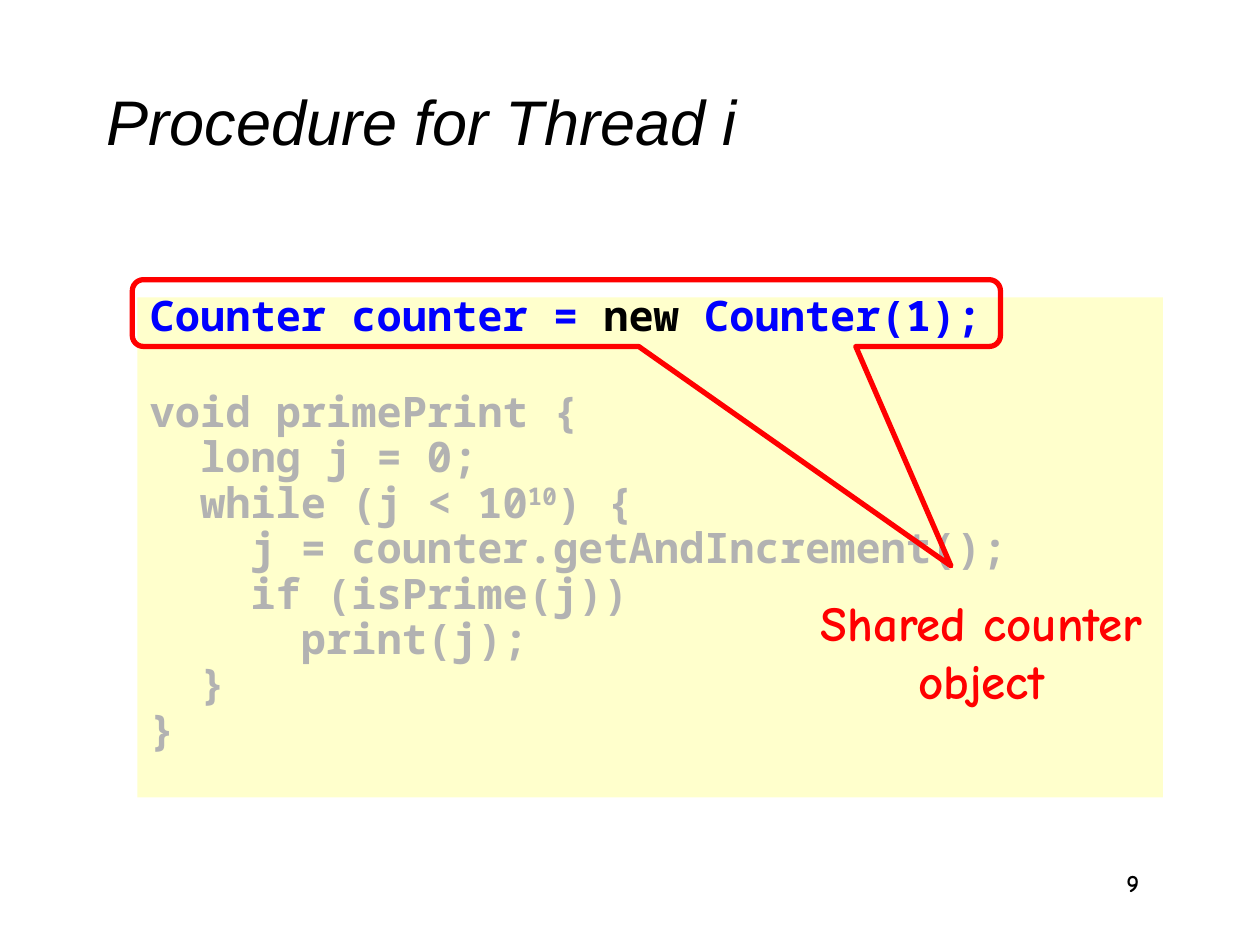
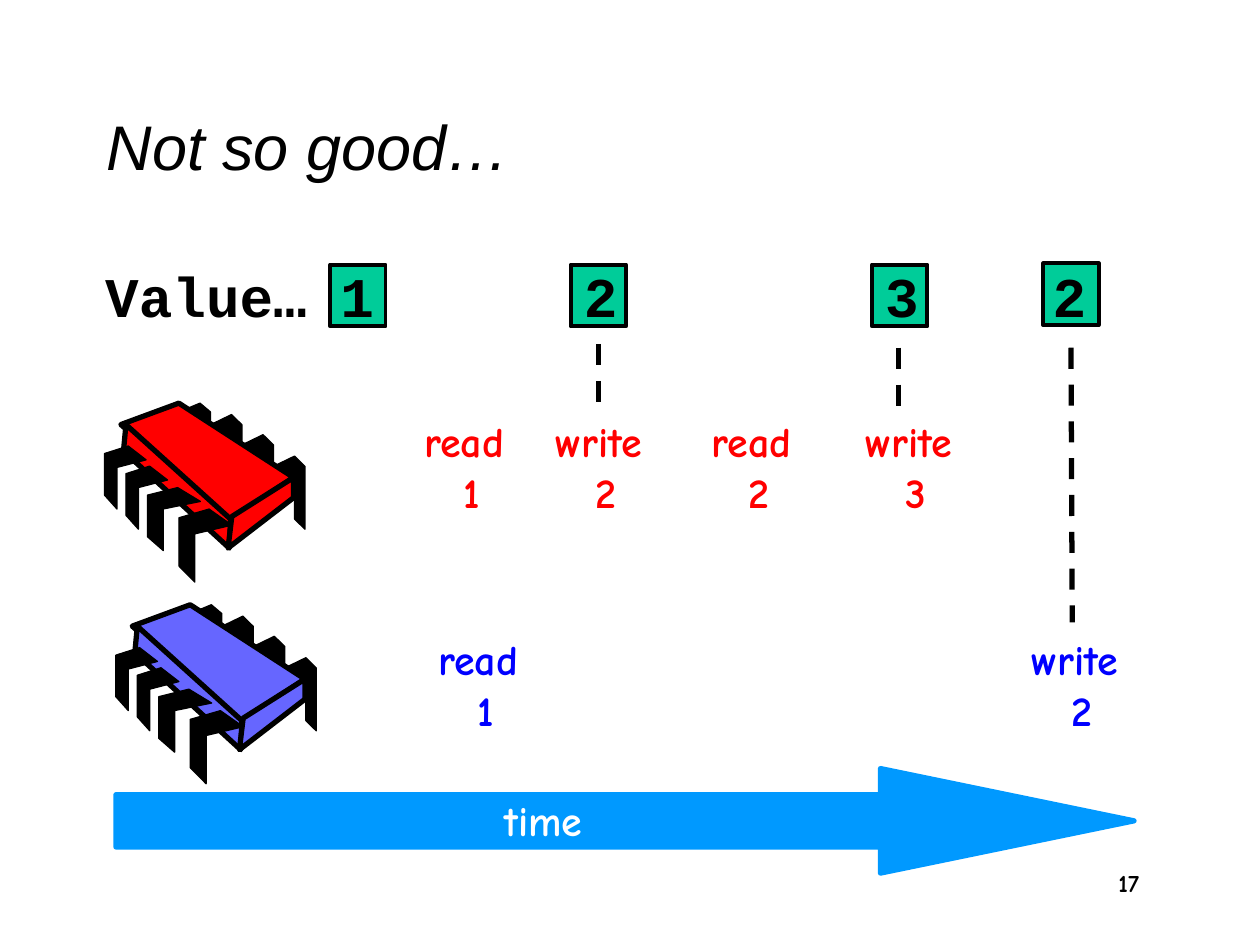
from lxml.etree import SubElement
from pptx import Presentation
from pptx.dml.color import RGBColor
from pptx.enum.dml import MSO_LINE
from pptx.enum.shapes import MSO_CONNECTOR, MSO_SHAPE
from pptx.enum.text import MSO_ANCHOR, MSO_AUTO_SIZE, PP_ALIGN
from pptx.oxml.ns import qn
from pptx.util import Inches, Pt

WIDTH, HEIGHT = Inches(10), Inches(7.5)
COLS, ROWS = 100, 75

HUE = {
    "ink": "000000", "red": "FF0000", "blue": "0000FF", "dim": "B2B2B2",
    "cream": "FFFFCC", "green": "00CC99", "sky": "0099FF",
    "iris": "6666FF", "white": "FFFFFF",
}
FONT = {
    "title": {"name": "Arial", "size": Pt(36), "italic": True},
    "page": {"name": "Comic Neue", "size": Pt(14), "bold": True},
    "note": {"name": "Comic Neue", "size": Pt(28), "bold": True},
    "step": {"name": "Comic Neue", "size": Pt(24), "bold": True},
    "value": {"name": "Courier New", "size": Pt(32), "bold": True},
    "code": {"name": "Noto Sans Mono", "size": Pt(24), "bold": True},
}
LEFT, MID, RIGHT = PP_ALIGN.LEFT, PP_ALIGN.CENTER, PP_ALIGN.RIGHT

CODE = [
    (0, [("Counter counter = ", "blue"), ("new", "ink"), (" Counter(1);", "blue")]),
    (0, [("void primePrint {", "dim")]),
    (1, [("long j = 0;", "dim")]),
    (1, [("while (j < 10", "dim"), ("10", "dim"), (") {", "dim")]),
    (2, [("j = counter.getAndIncrement();", "dim")]),
    (2, [("if (isPrime(j))", "dim")]),
    (3, [("print(j);", "dim")]),
    (1, [("}", "dim")]),
    (0, [("}", "dim")]),
]
POWER = (3, 1)
GAP, BREAK = 5.8, 34.5

BACK_PIN = [(0, .14), (.67, 0), (1, .14), (1, 1), (.67, .86), (.67, .29), (0, .43)]
FRONT_PIN = [(.57, 0), (1, .22), (.3, .34), (.3, 1), (0, .78), (0, .12)]
BACK_ROW = [(13.4, 4.2, 2.5, 5.8), (10.9, 2.5, 2.5, 5.8),
            (8.4, .9, 2.5, 5.8), (5.9, 0, 2.5, 5)]
FRONT_ROW = [(5.9, 8.4, 4.2, 5.8), (3.4, 6.7, 4.2, 5),
             (1.7, 5, 3.3, 5), (0, 3.4, 3.3, 5)]
BODY = [
    [(5.9, 0), (15, 5.9), (9.9, 9.3), (1.3, 1.7)],
    [(1.7, 1.7), (10, 9.2), (9.9, 11.5), (1.5, 3.8)],
    [(15, 5.9), (15, 7.5), (9.8, 11.5), (10.1, 9)],
]


def tint(name):
    return RGBColor.from_string(HUE[name])


def col(count):
    return round(WIDTH * count / COLS)


def row(count):
    return round(HEIGHT * count / ROWS)


def place(box):
    left, top, wide, high = box
    return col(left), row(top), col(wide), row(high)


def paint(shape, fill=None, edge=None, weight=1):
    shape.shadow.inherit = False
    if fill:
        shape.fill.solid()
        shape.fill.fore_color.rgb = tint(fill)
    else:
        shape.fill.background()
    if edge:
        shape.line.color.rgb = tint(edge)
        shape.line.width = Pt(weight)
    else:
        shape.line.fill.background()


def block(host, kind, box, fill=None, edge=None, weight=1, bends=()):
    shape = host.shapes.add_shape(kind, *place(box))
    paint(shape, fill, edge, weight)
    for index, bend in enumerate(bends):
        shape.adjustments[index] = bend
    return shape


def write(para, text, style, hue):
    run = para.add_run()
    run.text = text
    for key, value in FONT[style].items():
        setattr(run.font, key, value)
    run.font.color.rgb = tint(hue)
    return run


def label(host, box, lines, style, hue="ink", align=MID, wrap=False, grow=True):
    frame = host.shapes.add_textbox(*place(box)).text_frame
    frame.word_wrap = wrap
    frame.auto_size = MSO_AUTO_SIZE.SHAPE_TO_FIT_TEXT if grow else MSO_AUTO_SIZE.NONE
    for index, line in enumerate(lines):
        para = frame.add_paragraph() if index else frame.paragraphs[0]
        para.alignment = align
        write(para, line, style, hue)
    return frame


def start(deck, title, top, page):
    slide = deck.slides.add_slide(deck.slide_layouts[6])
    label(slide, (70.6, 68.4, 20.8, 5), [page], "page", align=RIGHT, wrap=True, grow=False)
    frame = label(slide, (7.5, top, 85, 12.5), [title], "title",
                  align=LEFT, wrap=True, grow=False)
    frame.vertical_anchor = MSO_ANCHOR.MIDDLE
    return slide


def panel(slide, box):
    frame = block(slide, MSO_SHAPE.RECTANGLE, box, "cream").text_frame
    frame.word_wrap = True
    frame.vertical_anchor = MSO_ANCHOR.TOP
    for index, (depth, parts) in enumerate(CODE):
        para = frame.add_paragraph() if index else frame.paragraphs[0]
        para.alignment = LEFT
        para.line_spacing = 0.7
        para.space_before = Pt(BREAK if index == 1 else GAP)
        para._p.get_or_add_pPr().set("marL", str(col(4 * depth)))
        for part, (text, hue) in enumerate(parts):
            run = write(para, text, "code", hue)
            if (index, part) == POWER:
                run._r.get_or_add_rPr().set("baseline", "30000")


def plate(host, points, fill, weight):
    spots = [(col(x), row(y)) for x, y in points]
    pen = host.shapes.build_freeform(*spots[0])
    pen.add_line_segments(spots[1:], close=True)
    paint(pen.convert_to_shape(), fill, "ink", weight)


def pins(host, left, top, spots, form):
    for x, y, wide, high in spots:
        points = [(left + x + wide * u, top + y + high * v) for u, v in form]
        plate(host, points, "ink", 0.75)


def chip(slide, left, top, fill):
    group = slide.shapes.add_group_shape()
    pins(group, left, top, BACK_ROW, BACK_PIN)
    for face in BODY:
        plate(group, [(left + x, top + y) for x, y in face], fill, 3)
    pins(group, left, top, FRONT_ROW, FRONT_PIN)


def dash(slide, x, top, end, low):
    line = slide.shapes.add_connector(
        MSO_CONNECTOR.STRAIGHT, col(x), row(top), col(end), row(low))
    line.line.color.rgb = tint("ink")
    line.line.width = Pt(3)
    line.line.dash_style = MSO_LINE.DASH
    SubElement(line._element.spPr, qn("a:effectLst"))


def arrow(slide):
    group = slide.shapes.add_group_shape()
    block(group, MSO_SHAPE.RIGHT_ARROW, (9.2, 61, 80.8, 8.3), "sky", "sky", 3, (0.5, 2.425))
    label(group, (38.3, 62.6, 8.9, 5), ["time"], "step", "white", RIGHT)


def thread(deck):
    slide = start(deck, "Procedure for Thread i", 3.3, "9")
    panel(slide, (10.9, 23.6, 81.4, 39.7))
    block(slide, MSO_SHAPE.ROUNDED_RECTANGULAR_CALLOUT, (10.5, 22.2, 68.9, 5.3),
          edge="red", weight=3, bends=(0.443, 3.787, 0.167))
    label(slide, (55, 46.5, 45.8, 10.3), ["Shared counter", "object"],
          "note", "red", wrap=True)


def race(deck):
    slide = start(deck, "Not so good…", 5.3, "17")
    for left, top in ((45.3, 21), (69.2, 21), (82.8, 20.9), (26.2, 21)):
        block(slide, MSO_SHAPE.RECTANGLE, (left, top, 4.4, 4.9), "green", "ink", 2.25)
    arrow(slide)
    chip(slide, 8.3, 32, "red")
    chip(slide, 9.2, 48, "iris")
    for left, wide, text in ((7.3, 23.4, "Value… 1"), (45.3, 4.7, "2"),
                             (69.2, 4.7, "3"), (82.5, 4.7, "2")):
        label(slide, (left, 20.3, wide, 6.3), [text], "value", align=RIGHT)
    steps = {
        ("red", 32.5): [(32.4, "read ", "1"), (42.5, "write ", "2"),
                        (55.2, "read ", "2"), (67.1, "write ", "3")],
        ("blue", 49.8): [(33.5, "read ", "1"), (80.3, "write ", "2")],
    }
    span = {"read ": 10.1, "write ": 11.2}
    for (hue, top), marks in steps.items():
        for left, verb, value in marks:
            label(slide, (left, top, span[verb], 9), [verb, value], "step", hue)
    for ends in ((47.5, 27.3, 47.5, 33.1), (71.3, 27.6, 71.3, 32.8),
                 (85, 27.6, 85.1, 49.4)):
        dash(slide, *ends)


def main():
    deck = Presentation()
    deck.slide_width, deck.slide_height = WIDTH, HEIGHT
    thread(deck)
    race(deck)
    deck.save("out.pptx")


if __name__ == "__main__":
    main()
